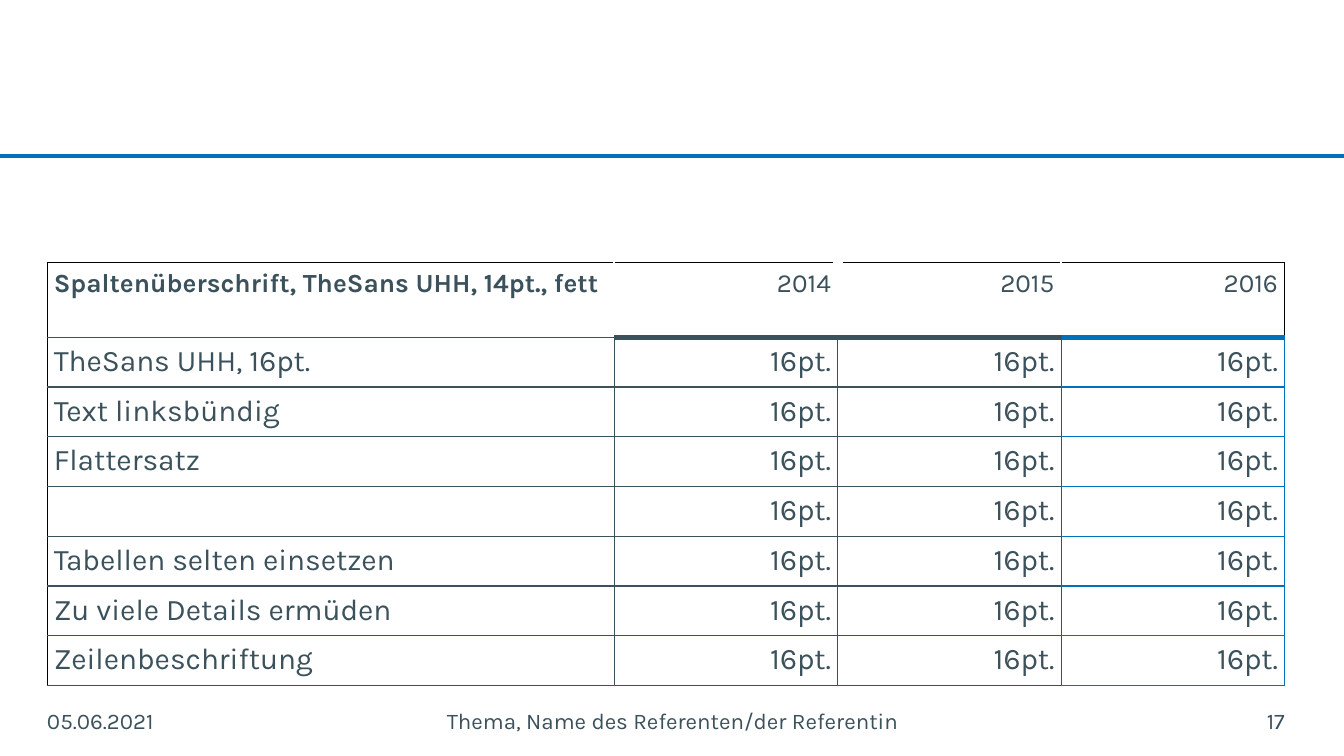
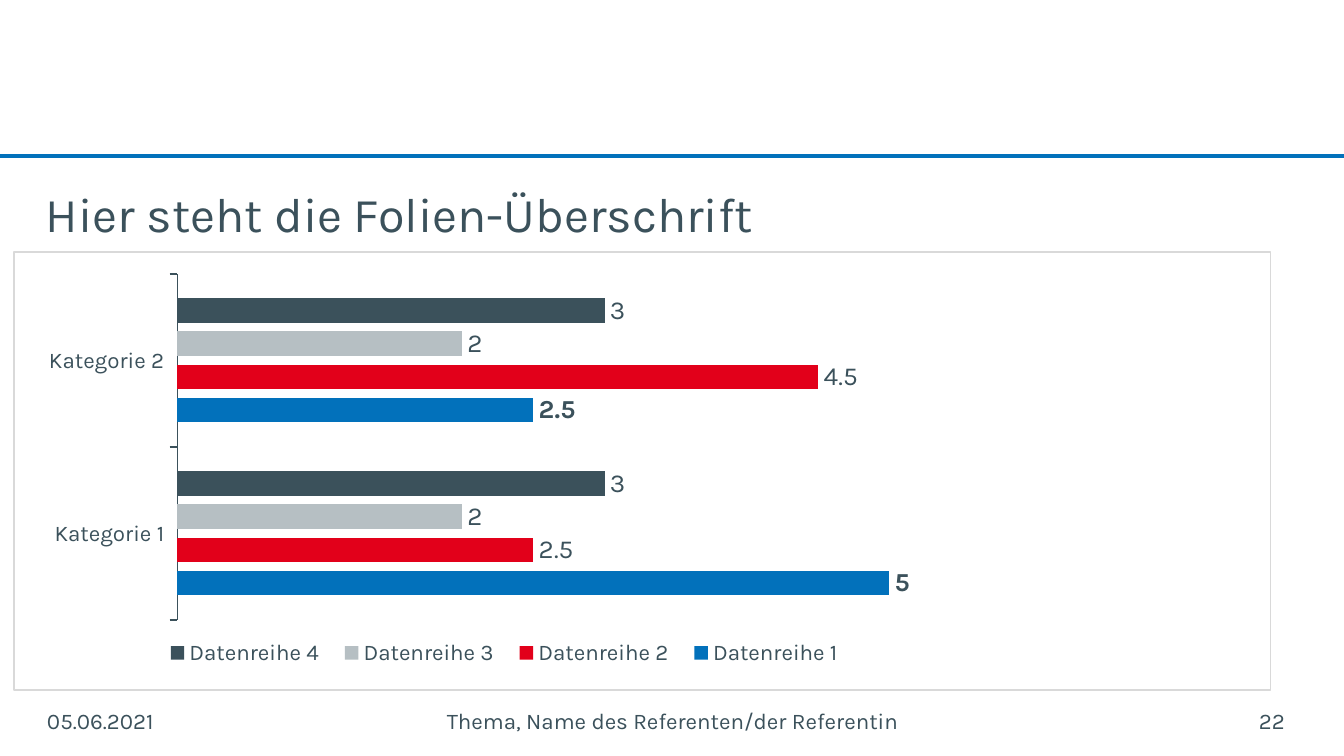
from pptx import Presentation
from pptx.chart.data import CategoryChartData
from pptx.dml.color import RGBColor
from pptx.enum.chart import XL_CHART_TYPE as Kind, XL_LABEL_POSITION as Spot
from pptx.enum.chart import XL_LEGEND_POSITION as Side, XL_TICK_MARK as Tick
from pptx.enum.shapes import MSO_CONNECTOR as Link
from pptx.enum.text import MSO_ANCHOR as Anchor, MSO_AUTO_SIZE as Fit, PP_ALIGN as Align
from pptx.oxml import parse_xml
from pptx.oxml.ns import nsdecls, qn
from pptx.util import Inches, Pt
from lxml.etree import SubElement

BLUE = RGBColor(0x02, 0x71, 0xBB)
SLATE = RGBColor(0x3B, 0x51, 0x5B)
RED = RGBColor(0xE2, 0x00, 0x1A)
GREY = RGBColor(0xB6, 0xBF, 0xC3)
FRAME = RGBColor(0xD9, 0xD9, 0xD9)
WHITE = RGBColor(0xFF, 0xFF, 0xFF)
BLACK = RGBColor(0, 0, 0)
FONT = "Karla"

# Content
DATE = "05.06.2021"
TOPIC = "Thema, Name des Referenten/der Referentin"
TITLE = "Hier steht die Folien-Überschrift"
HEAD = ["Spaltenüberschrift, TheSans UHH, 14pt., fett", "2014", "2015", "2016"]
LABELS = [
    "TheSans UHH, 16pt.", "Text linksbündig", "Flattersatz", "",
    "Tabellen selten einsetzen", "Zu viele Details ermüden", "Zeilenbeschriftung",
]
ROWS = [HEAD] + [[label] + ["16pt."] * 3 for label in LABELS]
CATS = ["Kategorie 1", "Kategorie 2"]
SERIES = [
    ("Datenreihe 1", (5, 2.5), BLUE),
    ("Datenreihe 2", (2.5, 4.5), RED),
    ("Datenreihe 3", (2, 2), GREY),
    ("Datenreihe 4", (3, 3), SLATE),
]

# Footer fields: left, width, alignment, left inset, right inset
FIELDS = [
    (0.35, 2.33, Align.LEFT, 0, 0.1),
    (3.11, 3.79, Align.CENTER, 0.1, 0.1),
    (7.23, 2.33, Align.RIGHT, 0.1, 0),
]


def style(font, size, bold=False):
    look = {"name": FONT, "size": Pt(size), "bold": bold}
    for key, val in look.items():
        setattr(font, key, val)
    font.color.rgb = SLATE


def write(para, text, size, bold=False, align=Align.LEFT):
    para.alignment = align
    if text:
        run = para.add_run()
        run.text = text
        style(run.font, size, bold)
    else:
        SubElement(para._p, qn("a:endParaRPr"), sz=str(size * 100))


def setup(frame, **extra):
    look = {"word_wrap": True, "auto_size": Fit.NONE,
            "margin_top": Inches(0.05), "margin_bottom": Inches(0.05)}
    for key, val in {**look, **extra}.items():
        setattr(frame, key, val)


def place(shape, *box):
    for key, val in zip(("left", "top", "width", "height"), box):
        setattr(shape, key, Inches(val))


# Shared parts: blue rule, footer, title
def new_slide(deck, number, title=None):
    slide = deck.slides.add_slide(deck.slide_layouts[5])
    rule = slide.shapes.add_connector(Link.STRAIGHT, 0, Inches(1.16), Inches(10), Inches(1.16))
    rule.line.color.rgb = BLUE
    rule.line.width = Pt(2)
    SubElement(rule._element.spPr, qn("a:effectLst"))

    head = slide.shapes.title
    if title:
        place(head, 0.24, 1.32, 9.33, 0.55)
        setup(head.text_frame, vertical_anchor=Anchor.TOP,
              margin_left=Inches(0.1), margin_right=Inches(0.1))
        write(head.text_frame.paragraphs[0], title, 26)
    else:
        head._element.getparent().remove(head._element)

    for text, (left, width, align, pad, end) in zip((DATE, TOPIC, str(number)), FIELDS):
        box = slide.shapes.add_textbox(Inches(left), Inches(5.21), Inches(width), Inches(0.3))
        setup(box.text_frame, vertical_anchor=Anchor.MIDDLE,
              margin_left=Inches(pad), margin_right=Inches(end))
        write(box.text_frame.paragraphs[0], text, 12, align=align)
    return slide


# Table grid: colour and weight of each edge
def upright(row, edge):
    if edge == 0 or (row == 0 and edge == len(HEAD)):
        return BLACK, 0.5
    if row == 0:
        return WHITE, 6 if edge == 2 else 0.96
    return (BLUE if edge == len(HEAD) else SLATE), 0.75


def level(edge, col):
    if edge == 0:
        return BLACK, 0.5
    tone = BLUE if col == len(HEAD) - 1 else SLATE
    if edge == 1:
        return tone, 3 if col else 0.5
    return tone, 0.5 if edge == len(ROWS) else 0.75


def border(cell, row, col):
    edges = {"lnL": upright(row, col), "lnR": upright(row, col + 1),
             "lnT": level(row, col), "lnB": level(row + 1, col)}
    props = cell._tc.get_or_add_tcPr()
    for tag, (tone, width) in edges.items():
        line = SubElement(props, qn("a:" + tag), w=str(Pt(width)))
        fill = SubElement(line, qn("a:solidFill"))
        SubElement(fill, qn("a:srgbClr"), val=str(tone))


def add_grid(slide):
    first, tall, low = 4.22, 0.56, 0.37
    shape = slide.shapes.add_table(len(ROWS), len(HEAD), Inches(0.35), Inches(1.95),
                                   Inches(9.21), Inches(tall + low * len(LABELS)))
    table = shape.table
    table.first_row = table.horz_banding = False
    for col, part in enumerate(table.columns):
        part.width = Inches(first if col == 0 else (9.21 - first) / 3)
    for row, texts in enumerate(ROWS):
        table.rows[row].height = Inches(low if row else tall)
        for col, text in enumerate(texts):
            cell = table.cell(row, col)
            for side in ("left", "right", "top", "bottom"):
                setattr(cell, "margin_" + side, Inches(0.05))
            border(cell, row, col)
            cell.fill.background()
            write(cell.text_frame.paragraphs[0], text, 16 if row else 14,
                  row == col == 0, Align.RIGHT if col else Align.LEFT)


# Chart parts that need XML
def arrange(part, index, box, inner=False):
    for old in part.findall(qn("c:layout")):
        part.remove(old)
    target = '<c:layoutTarget val="inner"/>' if inner else ""
    modes = "".join(f'<c:{key}Mode val="edge"/>' for key in "xy")
    sizes = "".join(f'<c:{key} val="{val}"/>' for key, val in zip("xywh", box))
    part.insert(index, parse_xml(
        f'<c:layout {nsdecls("c")}><c:manualLayout>{target}{modes}{sizes}'
        '</c:manualLayout></c:layout>'))


def panel(line):
    return parse_xml(
        f'<c:spPr {nsdecls("c", "a")}><a:solidFill><a:srgbClr val="{WHITE}"/></a:solidFill>'
        f'<a:ln w="{Pt(0.75)}">{line}</a:ln></c:spPr>')


def add_bars(slide):
    data = CategoryChartData()
    data.categories = CATS
    for name, vals, _ in SERIES:
        data.add_series(name, vals)
    chart = slide.shapes.add_chart(Kind.BAR_CLUSTERED, Inches(0.1), Inches(1.87),
                                   Inches(9.36), Inches(3.27), data).chart
    chart.has_title = False
    chart.font.name = "Arial"
    chart.font.size = Pt(10)
    chart.font.color.rgb = BLACK

    # Bars and labels
    plot = chart.plots[0]
    for key, val in {"gap_width": 200, "overlap": -35, "vary_by_categories": False}.items():
        setattr(plot, key, val)
    for index, (bar, (_, _, tone)) in enumerate(zip(plot.series, SERIES)):
        bar.format.fill.solid()
        bar.format.fill.fore_color.rgb = tone
        bar.invert_if_negative = False
        look = {"show_value": True, "position": Spot.OUTSIDE_END,
                "number_format": "General", "number_format_is_linked": False}
        for key, val in look.items():
            setattr(bar.data_labels, key, val)
        style(bar.data_labels.font, 14, index == 0)

    # Axes and legend
    axis, scale = chart.category_axis, chart.value_axis
    axis.major_tick_mark = Tick.OUTSIDE
    axis.has_major_gridlines = False
    axis.format.line.color.rgb = SLATE
    axis.format.line.width = Pt(0.75)
    style(axis.tick_labels.font, 12)
    for key, val in {"minimum_scale": 0, "maximum_scale": 6,
                     "has_major_gridlines": False, "visible": False}.items():
        setattr(scale, key, val)
    chart.has_legend = True
    chart.legend.position = Side.BOTTOM
    chart.legend.include_in_layout = False
    style(chart.legend.font, 12)

    # Layout and frame
    root = chart._chartSpace
    area = root.find(".//" + qn("c:plotArea"))
    arrange(area, 0, (0.13, 0.05, 0.68, 0.79), True)
    arrange(root.find(".//" + qn("c:legend")), 1, (0.11, 0.87, 0.56, 0.09))
    area.append(panel("<a:noFill/>"))
    root.find(qn("c:chart")).addnext(
        panel(f'<a:solidFill><a:srgbClr val="{FRAME}"/></a:solidFill>'))


def main():
    deck = Presentation()
    deck.slide_width = Inches(10)
    deck.slide_height = deck.slide_width * 9 // 16
    add_grid(new_slide(deck, 17))
    add_bars(new_slide(deck, 22, TITLE))
    deck.save("out.pptx")


if __name__ == "__main__":
    main()
